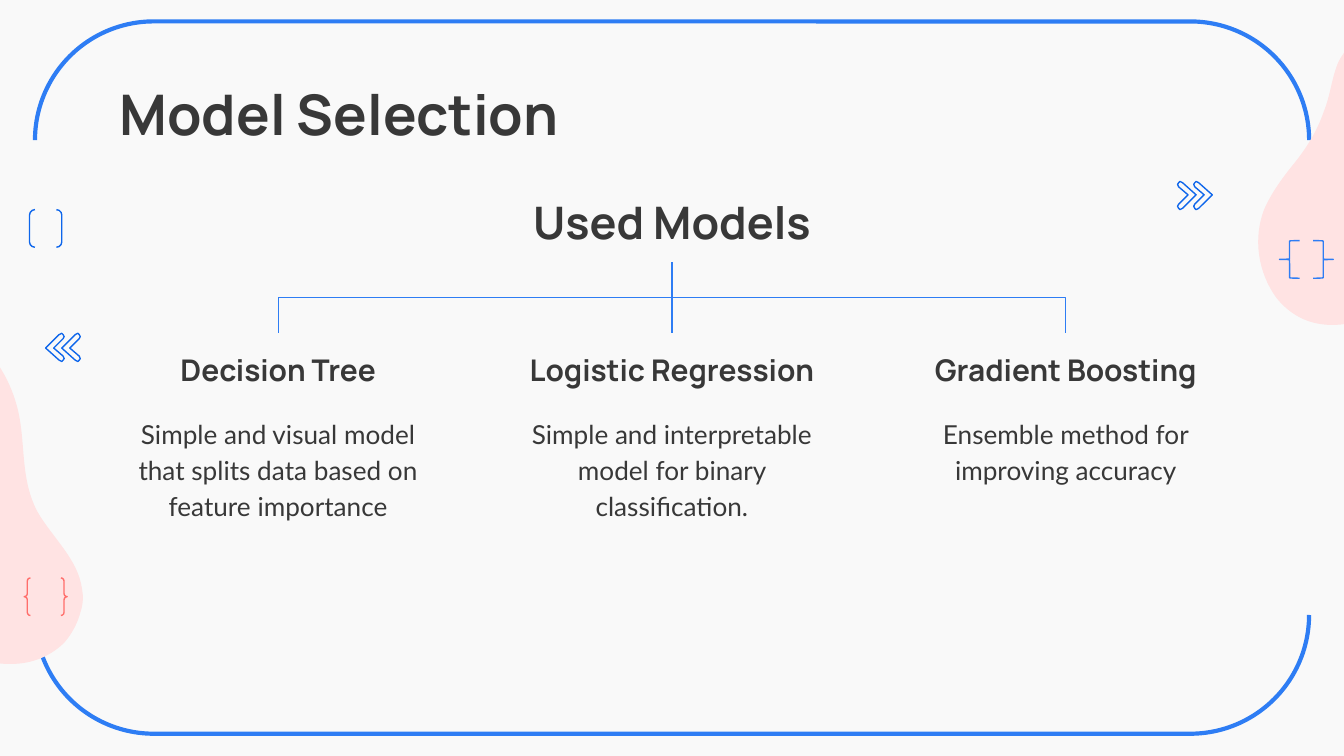
from dataclasses import dataclass

from pptx import Presentation
from pptx import util as u
from pptx.dml.color import RGBColor
from pptx.enum import shapes, text
from pptx.oxml.ns import qn

SCALE = 9144
BG, INK, PINK, CORAL = "F9F9F9", "383838", "FFE3E3", "FF6E6B"
BLUE, DEEP_BLUE = "2E7DF4", "0E66EB"
SHAPE, ALIGN, ANCHOR = shapes.MSO_SHAPE, text.PP_ALIGN, text.MSO_ANCHOR
COLUMN_LEFT, COLUMN_WIDTH, COLUMN_PITCH = 78, 258, 293
Point = tuple[int, int]


@dataclass
class Model:
    """A model's name and summary."""
    name: str
    summary: str


@dataclass
class Bracket:
    """An outlined bracket or brace."""
    kind: int
    box: tuple[int, int, int, int]
    color: str
    width: float = 0.75
    rotation: int = 0
    bend: float | None = None


MODELS = [
    Model("Decision Tree", "Simple and visual model that splits data based on feature importance"),
    Model("Logistic Regression", "Simple and interpretable model for binary classification."),
    Model("Gradient Boosting", "Ensemble method for improving accuracy"),
]
FRAME = Bracket(SHAPE.DOUBLE_BRACKET, (235, -193, 530, 948), BLUE, 2.25, 90)
BRACKETS = [
    Bracket(SHAPE.LEFT_BRACE, (952, 179, 15, 28), BLUE, bend=0.022),
    Bracket(SHAPE.LEFT_BRACE, (977, 179, 15, 28), BLUE, rotation=180, bend=0.022),
    Bracket(SHAPE.DOUBLE_BRACKET, (22, 156, 24, 28), DEEP_BLUE),
    Bracket(SHAPE.DOUBLE_BRACE, (18, 430, 32, 28), CORAL),
]
LEFT_BLOB = [
    (60, 455), (62, 449), (62, 443), (61, 438), (58, 416), (39, 400), (28, 381),
    (14, 355), (20, 327), (12, 300), (5, 276), (-11, 254), (-32, 242),
    (-43, 235), (-58, 231), (-73, 230), (-89, 230), (-104, 233), (-115, 243),
    (-134, 258), (-146, 282), (-151, 306), (-153, 312), (-154, 318), (-154, 323),
    (-154, 326), (-155, 330), (-155, 333), (-155, 351), (-152, 370), (-143, 385),
    (-132, 402), (-119, 413), (-102, 424), (-83, 436), (-68, 453), (-51, 468),
    (-34, 483), (-13, 495), (9, 494), (24, 494), (38, 488), (48, 478),
    (54, 471), (58, 463), (60, 455),
]
RIGHT_BLOB = [
    (1039, 16), (1021, 20), (1004, 30), (996, 46), (991, 57), (990, 71), (985, 83),
    (980, 98), (971, 112), (961, 124), (953, 134), (946, 144), (941, 155),
    (932, 177), (936, 203), (950, 222), (964, 239), (982, 244), (1002, 241),
    (1029, 237), (1055, 233), (1082, 228), (1087, 227), (1093, 226), (1099, 224),
    (1111, 222), (1123, 219), (1135, 216), (1147, 213), (1158, 210), (1166, 201),
    (1177, 190), (1178, 173), (1173, 158), (1169, 144), (1158, 132), (1147, 122),
    (1140, 116), (1133, 110), (1127, 102), (1117, 90), (1113, 75), (1107, 61),
    (1100, 47), (1098, 30), (1083, 21), (1076, 16), (1066, 14), (1057, 14),
    (1051, 14), (1045, 15), (1039, 16),
]
CHEVRON_STEPS = "CLLCCCLLCC"
CHEVRON = [
    (12, -11), (11, -11), (11, -11), (10, -10), (0, 0), (10, 9),
    (11, 10), (11, 10), (12, 10), (12, 10), (13, 10), (13, 9), (14, 9), (14, 7), (13, 6),
    (6, 0), (13, -7), (14, -8), (14, -9), (13, -10), (13, -11), (12, -11), (12, -11),
]


def px(n: float) -> u.Emu:
    """Turn px into EMU."""
    return u.Emu(round(n * SCALE))


def rgb(value: str) -> RGBColor:
    """Turn a hex string into a colour."""
    return RGBColor.from_string(value)


def set_line(line, color: str, width: float = 0.75) -> None:
    """Colour a line and set its width in points."""
    line.color.rgb = rgb(color)
    line.width = u.Pt(width)


def add_bracket(s, b: Bracket) -> None:
    """Draw a bracket or brace."""
    sp = s.shapes.add_shape(b.kind, *map(px, b.box))
    sp.shadow.inherit = False
    sp.fill.background()
    sp.rotation = b.rotation
    set_line(sp.line, b.color, b.width)
    if b.bend is not None:
        sp.adjustments[0] = b.bend


def add_outline(s, points: list[Point], steps: str):
    """Draw a closed freeform of straight (L) and cubic (C) steps."""
    start, *rest = points
    builder = s.shapes.build_freeform(*start, scale=SCALE)
    builder.add_line_segments(rest, close=True)
    sp = builder.convert_to_shape()
    sp.shadow.inherit = False
    segments = iter(list(sp._element.iter(qn("a:lnTo"))))
    for step in steps:
        first = next(segments)
        if step == "C":
            curve = first.makeelement(qn("a:cubicBezTo"), {})
            first.addprevious(curve)
            for segment in (first, next(segments), next(segments)):
                curve.append(segment[0])
                segment.getparent().remove(segment)
    return sp


def add_blob(s, points: list[Point]) -> None:
    """Draw a soft pink blob."""
    sp = add_outline(s, points, "C" * (len(points) // 3))
    sp.fill.solid()
    sp.fill.fore_color.rgb = rgb(PINK)
    sp.line.fill.background()


def add_chevrons(s, tips: list[int], y: int, way: int) -> None:
    """Draw chevrons with the given tips, facing left (1) or right (-1)."""
    for tip in tips:
        sp = add_outline(s, [(tip + way * dx, y + way * dy) for dx, dy in CHEVRON], CHEVRON_STEPS)
        sp.fill.background()
        set_line(sp.line, DEEP_BLUE)


def add_text(s, box: tuple[int, int, int, int], words: str, size: int, font: str = "Manrope",
             align=ALIGN.CENTER, anchor=ANCHOR.BOTTOM, spacing: float = 1.15):
    """Add a text box; Manrope text is bold."""
    sp = s.shapes.add_textbox(*map(px, box))
    tf = sp.text_frame
    tf.word_wrap = True
    tf.vertical_anchor = anchor
    tf.margin_left = tf.margin_right = tf.margin_top = tf.margin_bottom = px(10)
    p = tf.paragraphs[0]
    p.text = words
    p.alignment = align
    p.line_spacing = spacing
    p.font.name, p.font.size, p.font.bold = font, u.Pt(size), font == "Manrope"
    p.font.color.rgb = rgb(INK)
    return sp


def add_branch(s, kind, begin: Point, end: Point):
    """Add a branch line without a shadow."""
    cxn = s.shapes.add_connector(kind, *map(px, (*begin, *end)))
    set_line(cxn.line, BLUE)
    props = cxn._element.spPr
    props.append(props.makeelement(qn("a:effectLst"), {}))
    return cxn


def add_elbow(s, begin: Point, end: Point) -> None:
    """Add an elbow that leaves downwards, as a turned horizontal one."""
    (x1, y1), (x2, y2) = begin, end
    cx, cy = (x1 + x2) / 2, (y1 + y2) / 2
    half_drop, half_span = (y2 - y1) / 2, abs(x2 - x1) / 2
    side = 1 if x2 < x1 else -1
    cxn = add_branch(s, shapes.MSO_CONNECTOR.ELBOW,
                     (cx - side * half_drop, cy - half_span),
                     (cx + side * half_drop, cy + half_span))
    cxn._element.spPr.find(qn("a:xfrm")).set("rot", str(side * 90 % 360 * 60000))


def main() -> None:
    """Build the slide and save it."""
    prs = Presentation()
    prs.slide_width, prs.slide_height = px(1000), px(562.5)
    s = prs.slides.add_slide(prs.slide_layouts[6])
    s.background.fill.solid()
    s.background.fill.fore_color.rgb = rgb(BG)

    add_bracket(s, FRAME)
    add_blob(s, LEFT_BLOB)
    add_blob(s, RIGHT_BLOB)
    for bracket in BRACKETS:
        add_bracket(s, bracket)
    add_chevrons(s, [34, 46], 259, 1)

    add_text(s, (79, 49, 843, 63), "Model Selection", 30,
             align=ALIGN.LEFT, anchor=ANCHOR.TOP, spacing=1.0)
    root = add_text(s, (336, 145, 328, 50), "Used Models", 24)
    for i, m in enumerate(MODELS):
        left = COLUMN_LEFT + i * COLUMN_PITCH
        head = add_text(s, (left, 248, COLUMN_WIDTH, 50), m.name, 16)
        add_text(s, (left, 298, COLUMN_WIDTH, 87), m.summary, 14, "Lato", anchor=ANCHOR.TOP)
        begin, end = (500, 195), (left + COLUMN_WIDTH // 2, 248)
        if begin[0] == end[0]:
            cxn = add_branch(s, shapes.MSO_CONNECTOR.STRAIGHT, begin, end)
            cxn.begin_connect(root, 2)
            cxn.end_connect(head, 0)
        else:
            add_elbow(s, begin, end)
    add_chevrons(s, [902, 890], 145, -1)
    prs.save("out.pptx")


if __name__ == "__main__":
    main()
